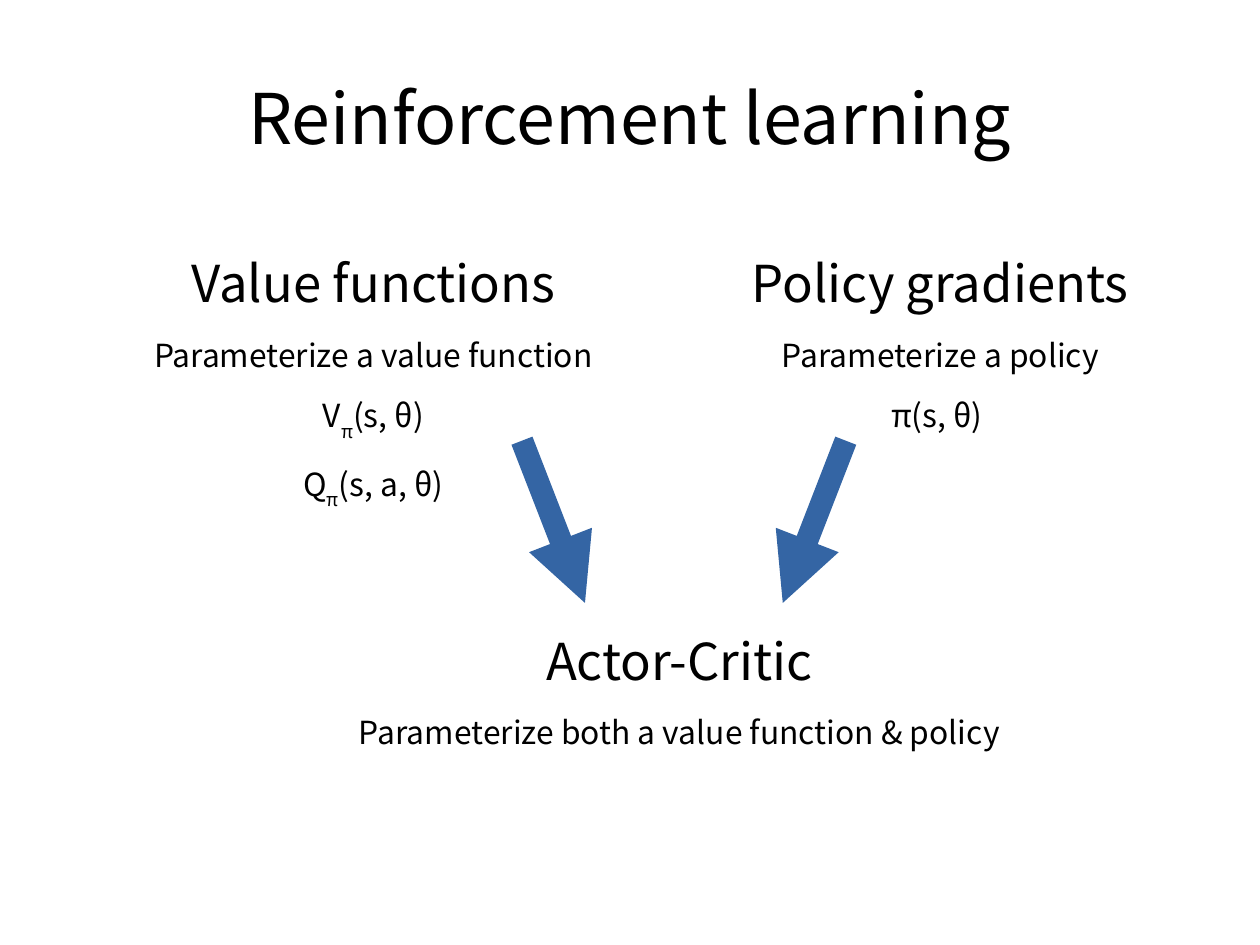
from pptx import Presentation
from pptx.dml.color import RGBColor
from pptx.enum.shapes import MSO_CONNECTOR
from pptx.enum.text import MSO_ANCHOR, PP_ALIGN
from pptx.oxml.ns import qn
from pptx.util import Pt
from lxml import etree

BLACK = RGBColor(0x00, 0x00, 0x00)
BLUE = RGBColor(0x34, 0x65, 0xA4)
FONT = "Noto Sans CJK JP"
HEADING, BODY = 32, 20


def add_text(slide, text, left, top, width, height, sizes, gap=14.2,
             anchor=MSO_ANCHOR.TOP):
    """Add centred paragraphs; "_" before a character makes it a subscript."""
    tf = slide.shapes.add_textbox(Pt(left), Pt(top), Pt(width), Pt(height)).text_frame
    tf.word_wrap = True
    tf.vertical_anchor = anchor
    tf.margin_left = tf.margin_right = tf.margin_top = tf.margin_bottom = 0
    for i, line in enumerate(text):
        p = tf.paragraphs[0] if i == 0 else tf.add_paragraph()
        p.alignment = PP_ALIGN.CENTER
        if i > 0:
            p.space_before = Pt(gap)
        start, *parts = line.split("_")
        runs = [(start, False)]
        for part in parts:
            runs += [(part[0], True), (part[1:], False)]
        for content, subscript in runs:
            r = p.add_run()
            r.text = content
            r.font.name = FONT
            r.font.size = Pt(sizes[min(i, len(sizes) - 1)])
            r.font.color.rgb = BLACK
            if subscript:
                r._r.get_or_add_rPr().set("baseline", "-33000")


def add_arrow(slide, x1, y1, x2, y2):
    line = slide.shapes.add_connector(
        MSO_CONNECTOR.STRAIGHT, Pt(x1), Pt(y1), Pt(x2), Pt(y2))
    line.line.color.rgb = BLUE
    line.line.width = Pt(14.17)
    ln = line.line._get_or_add_ln()
    etree.SubElement(ln, qn("a:tailEnd"), type="triangle")
    etree.SubElement(ln.getparent(), qn("a:effectLst"))


def main():
    prs = Presentation()
    prs.slide_width, prs.slide_height = Pt(793.7), Pt(595.28)
    slide = prs.slides.add_slide(prs.slide_layouts[6])

    # Title
    add_text(slide, ["Reinforcement learning"], 39.69, 23.73, 714.3, 99.4,
             [44], anchor=MSO_ANCHOR.MIDDLE)

    # Two approaches and their combination
    sizes = [HEADING, BODY]
    add_text(slide, ["Value functions", "Parameterize a value function",
                     "V_π(s, θ)", "Q_π(s, a, θ)"],
             73.7, 158.6, 323.15, 408.2, sizes)
    add_text(slide, ["Policy gradients", "Parameterize a policy", "π(s, θ) "],
             430.87, 158.6, 323.15, 408.2, sizes)
    add_text(slide, ["Actor-Critic", "Parameterize both a value function & policy"],
             101.9, 396.6, 652.3, 170, sizes)

    # Mirrored arrows towards the combination
    center = 430.8
    for side in (1, -1):
        add_arrow(slide, center + side * 102, 277.6,
                  center + side * 62.3, 379.8)

    prs.save("out.pptx")


if __name__ == "__main__":
    main()
